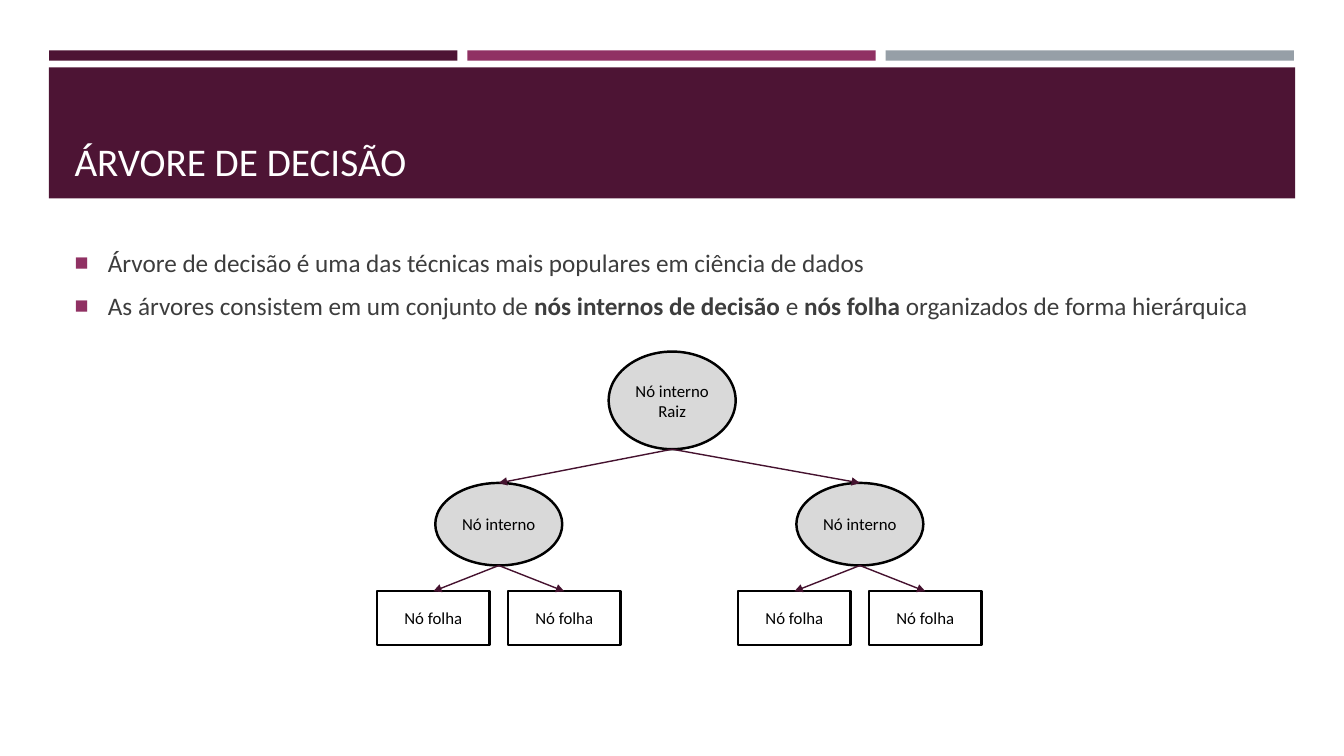
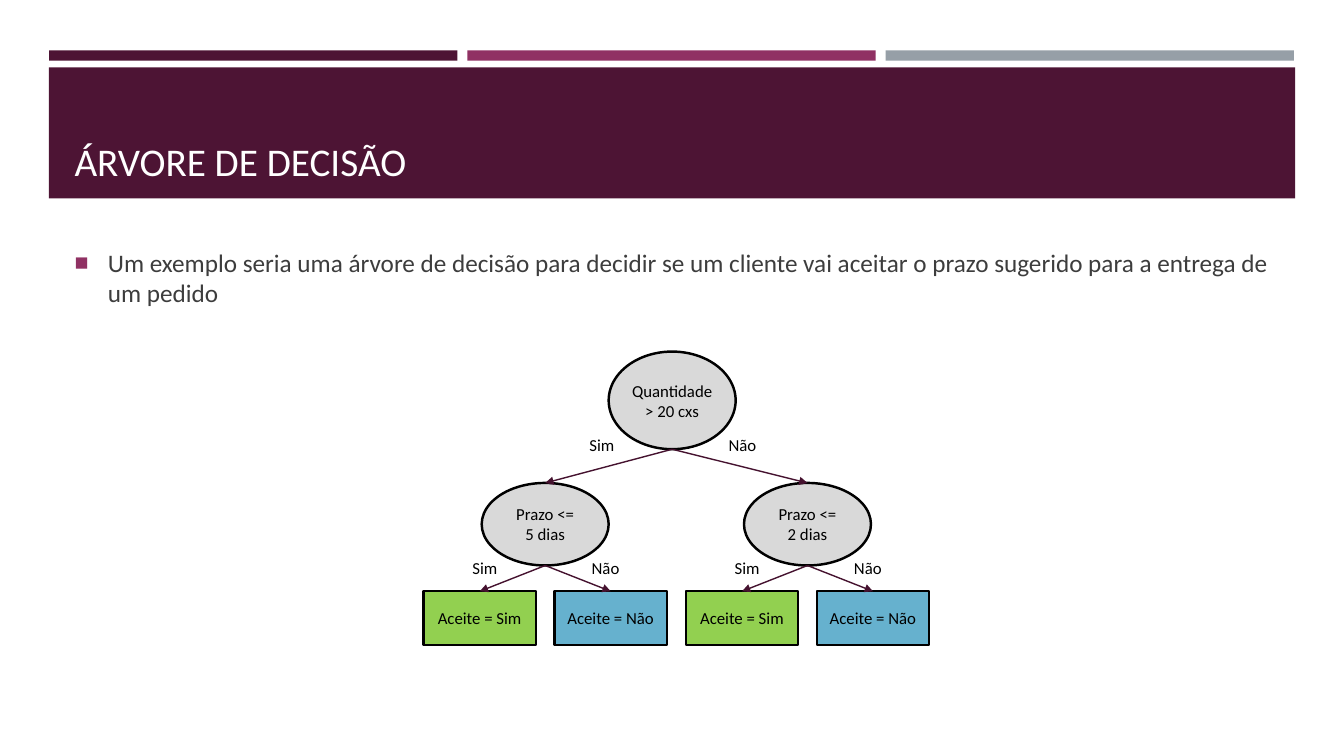
from lxml import etree
from pptx import Presentation
from pptx.dml.color import RGBColor
from pptx.enum.shapes import MSO_CONNECTOR as Connector, MSO_SHAPE as Shape
from pptx.enum.text import MSO_ANCHOR as Anchor, PP_ALIGN as Align
from pptx.oxml.ns import qn
from pptx.util import Cm, Pt

FONT = "Calibri"
PLUM, MAGENTA, STEEL = "4D1434", "903163", "969FA7"
WHITE, BLACK, BODY_GREY, NODE_GREY = "FFFFFF", "000000", "3D3D3D", "D9D9D9"
GREEN, BLUE, ARROW = "92D050", "66B1CE", "45122F"

# Slide frame, in cm
TEXT_LEFT, TEXT_WIDTH = 1.63, 30.63
BAND_LEFT, BAND_WIDTH, BAND_PITCH = 1.24, 10.29, 10.54

# Tree, in cm
ROOT_X, ROOT_TOP, ROOT_HEIGHT = 16.94, 8.86, 2.46
INNER_TOP, INNER_HEIGHT, OVAL_WIDTH = 12.17, 2.08, 3.2
LEAF_TOP, LEAF_WIDTH, LEAF_HEIGHT, LEAF_OFFSET = 14.9, 2.83, 1.35, 1.65
LABEL_WIDTH, LABEL_HEIGHT = 1.4, 0.77
ROOT_LABEL_OFFSET, ROOT_LABEL_TOP = 1.77, 10.82
INNER_LABEL_OFFSET, INNER_LABEL_TOP = 1.52, 13.92

SLIDES = [
    {
        "bullets": "Árvore de decisão é uma das técnicas mais populares em ciência de dados\n"
                   "As árvores consistem em um conjunto de **nós internos de decisão **e "
                   "**nós folha **organizados de forma hierárquica",
        "root": "Nó interno Raiz",
        "inner": [(12.57, "Nó interno"), (21.67, "Nó interno")],
        "leaves": [("Nó folha", None), ("Nó folha", None)],
        "answers": [],
    },
    {
        "bullets": "Um exemplo seria uma árvore de decisão para decidir se um cliente vai "
                   "aceitar o prazo sugerido para a entrega de um pedido",
        "root": "Quantidade > 20 cxs",
        "inner": [(13.74, "Prazo <=\n5 dias"), (20.35, "Prazo <=\n2 dias")],
        "leaves": [("Aceite = Sim", GREEN), ("Aceite = Não", BLUE)],
        "answers": ["Sim", "Não"],
    },
]


def add_block(slide, kind, left, top, width, height, fill, outline=None):
    block = slide.shapes.add_shape(kind, Cm(left), Cm(top), Cm(width), Cm(height))
    block.shadow.inherit = False
    if fill:
        block.fill.solid()
        block.fill.fore_color.rgb = RGBColor.from_string(fill)
    else:
        block.fill.background()
    if outline:
        block.line.color.rgb = RGBColor.from_string(outline)
        block.line.width = Pt(1.75)
    else:
        block.line.fill.background()
    return block


def write(holder, text, size=12, colour=BLACK, align=Align.CENTER, anchor=Anchor.MIDDLE, inset=0.05):
    """Fill a shape with text: newlines part paragraphs, ** pairs enclose bold."""
    frame = holder.text_frame
    frame.word_wrap = True
    frame.vertical_anchor = anchor
    frame.margin_left = frame.margin_right = Cm(inset)
    frame.margin_top = frame.margin_bottom = Cm(inset / 2)
    for number, line in enumerate(text.split("\n")):
        paragraph = frame.add_paragraph() if number else frame.paragraphs[0]
        paragraph.alignment = align
        for part, words in enumerate(line.split("**")):
            run = paragraph.add_run()
            run.text = words
            run.font.name = FONT
            run.font.size = Pt(size)
            run.font.bold = part % 2 == 1
            run.font.color.rgb = RGBColor.from_string(colour)


prs = Presentation()
prs.slide_width, prs.slide_height = Cm(33.87), Cm(19.05)

for content in SLIDES:
    slide = prs.slides.add_slide(prs.slide_layouts[6])

    # Bands and title
    for column, colour in enumerate([PLUM, MAGENTA, STEEL]):
        add_block(slide, Shape.RECTANGLE, BAND_LEFT + column * BAND_PITCH, 1.27, BAND_WIDTH, 0.26, colour)
    add_block(slide, Shape.RECTANGLE, 1.23, 1.7, 31.41, 3.3, PLUM)
    title = slide.shapes.add_textbox(Cm(TEXT_LEFT), Cm(1.96), Cm(TEXT_WIDTH), Cm(2.82))
    write(title, "ÁRVORE DE DECISÃO", 28, WHITE, Align.LEFT, Anchor.BOTTOM, 0.25)

    # Bullets
    body = slide.shapes.add_textbox(Cm(TEXT_LEFT), Cm(6.1), Cm(TEXT_WIDTH), Cm(2.5))
    write(body, content["bullets"], 18, BODY_GREY, Align.LEFT, Anchor.TOP, 0.25)
    for number, paragraph in enumerate(body.text_frame.paragraphs):
        paragraph.space_before = Pt(3.6 if number else 0)
        paragraph.space_after = Pt(6)
        props = paragraph._p.get_or_add_pPr()
        props.set("marL", str(Cm(0.84)))
        props.set("indent", str(-Cm(0.84)))
        bullet_colour = etree.SubElement(props, qn("a:buClr"))
        etree.SubElement(bullet_colour, qn("a:srgbClr"), val=MAGENTA)
        etree.SubElement(props, qn("a:buSzPct"), val="92000")
        etree.SubElement(props, qn("a:buFont"), typeface="Arial")
        etree.SubElement(props, qn("a:buChar"), char="■")

    # Tree nodes; each branch is (parent x, parent bottom, child)
    branches = []
    answer_spots = []
    root = add_block(slide, Shape.OVAL, ROOT_X - OVAL_WIDTH / 2, ROOT_TOP,
                     OVAL_WIDTH, ROOT_HEIGHT, NODE_GREY, BLACK)
    write(root, content["root"])
    answer_spots.append((ROOT_X, ROOT_LABEL_OFFSET, ROOT_LABEL_TOP))
    for inner_x, question in content["inner"]:
        inner = add_block(slide, Shape.OVAL, inner_x - OVAL_WIDTH / 2, INNER_TOP,
                          OVAL_WIDTH, INNER_HEIGHT, NODE_GREY, BLACK)
        write(inner, question)
        branches.append((ROOT_X, ROOT_TOP + ROOT_HEIGHT, inner))
        answer_spots.append((inner_x, INNER_LABEL_OFFSET, INNER_LABEL_TOP))
        for side, (outcome, fill) in zip((-1, 1), content["leaves"]):
            leaf = add_block(slide, Shape.RECTANGLE, inner_x + side * LEAF_OFFSET - LEAF_WIDTH / 2,
                             LEAF_TOP, LEAF_WIDTH, LEAF_HEIGHT, fill, BLACK)
            write(leaf, outcome)
            branches.append((inner_x, INNER_TOP + INNER_HEIGHT, leaf))

    # Arrows
    for parent_x, parent_bottom, child in branches:
        arrow = slide.shapes.add_connector(Connector.STRAIGHT, Cm(parent_x), Cm(parent_bottom),
                                           child.left + child.width // 2, child.top)
        arrow.end_connect(child, 0)
        arrow.line.color.rgb = RGBColor.from_string(ARROW)
        arrow.line.width = Pt(1)
        etree.SubElement(arrow.line._get_or_add_ln(), qn("a:tailEnd"), type="triangle")
        etree.SubElement(arrow._element.spPr, qn("a:effectLst"))

    # Answers beside the branches
    for parent_x, offset, top in answer_spots:
        for side, answer in zip((-1, 1), content["answers"]):
            label = slide.shapes.add_textbox(Cm(parent_x + side * offset - LABEL_WIDTH / 2), Cm(top),
                                             Cm(LABEL_WIDTH), Cm(LABEL_HEIGHT))
            write(label, answer)

prs.save("out.pptx")
